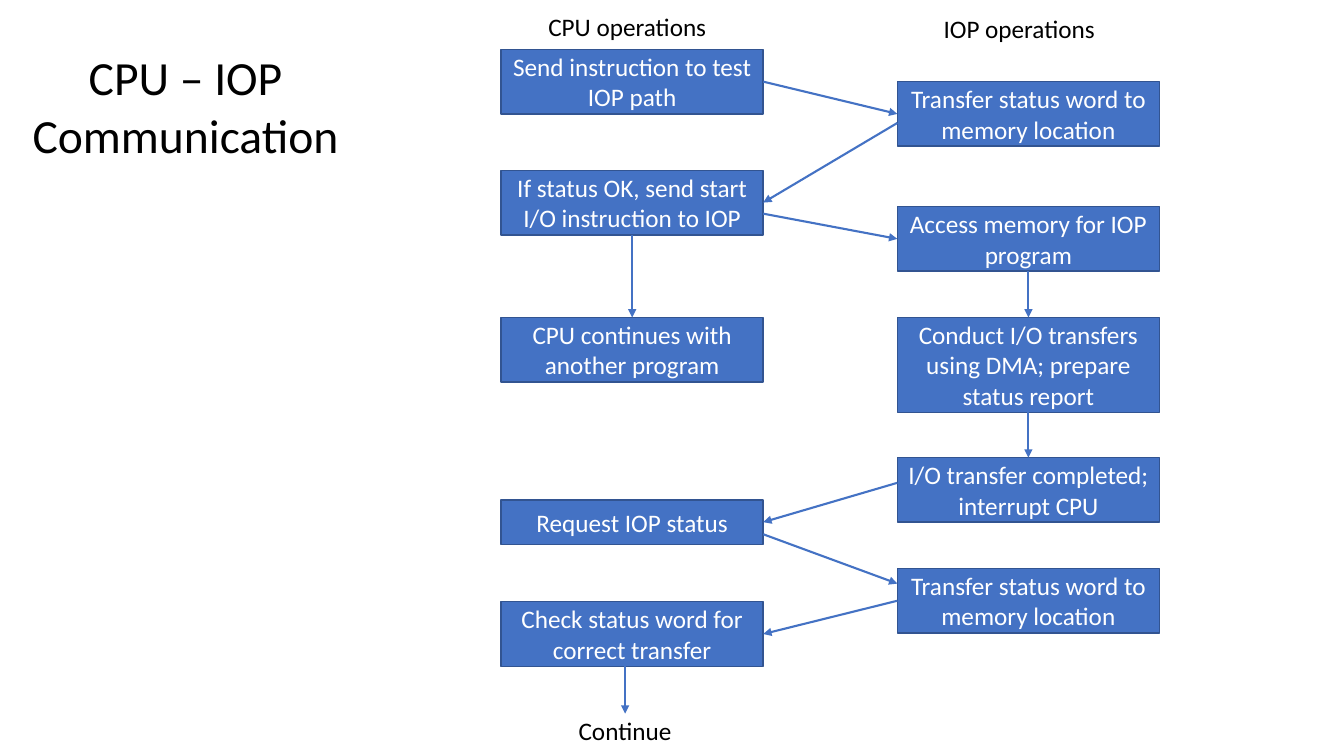
from lxml.etree import SubElement
from pptx import Presentation
from pptx.dml.color import RGBColor
from pptx.enum.shapes import MSO_CONNECTOR as Connector, MSO_SHAPE as Shape
from pptx.enum.text import MSO_ANCHOR as Anchor, PP_ALIGN as Align
from pptx.oxml.ns import qn
from pptx.util import Inches, Pt

COLORS = {"box": "4472C4", "border": "325491", "box_text": "FFFFFF", "text": "000000"}
FONT = "Calibri"
TOP, LEFT, BOTTOM, RIGHT = range(4)
CPU_X, IOP_X = 4.97, 8.9
BOX_W, BOX_H = 2.6, 0.64


class FlowSlide:
    def __init__(self, deck):
        self.slide = deck.slides.add_slide(deck.slide_layouts[5])

    def color(self, name):
        return RGBColor.from_string(COLORS[name])

    def set_text(self, frame, text, size, color, align, anchor):
        frame.word_wrap = True
        frame.vertical_anchor = anchor
        frame.text = text
        paragraph = frame.paragraphs[0]
        paragraph.alignment = align
        font = paragraph.runs[0].font
        font.name, font.size = FONT, Pt(size)
        font.color.rgb = self.color(color)

    def title(self, text, x, y, w, h):
        heading = self.slide.shapes.title
        heading.left, heading.top = Inches(x), Inches(y)
        heading.width, heading.height = Inches(w), Inches(h)
        self.set_text(heading.text_frame, text, 34, "text", Align.CENTER, Anchor.TOP)

    def label(self, text, x, y, w):
        caption = self.slide.shapes.add_textbox(Inches(x), Inches(y), Inches(w), Inches(0.4))
        self.set_text(caption.text_frame, text, 18, "text", Align.LEFT, Anchor.TOP)

    def step(self, text, x, y, h=BOX_H):
        box = self.slide.shapes.add_shape(
            Shape.RECTANGLE, Inches(x), Inches(y), Inches(BOX_W), Inches(h))
        box.shadow.inherit = False
        box.fill.solid()
        box.fill.fore_color.rgb = self.color("box")
        box.line.color.rgb = self.color("border")
        box.line.width = Pt(1)
        self.set_text(box.text_frame, text, 18, "box_text", Align.CENTER, Anchor.MIDDLE)
        return box

    def arrow(self, start, end):
        """Each end is an (x, y) point or a (box, side) pair."""
        link = self.slide.shapes.add_connector(Connector.STRAIGHT, 0, 0, 0, 0)
        if isinstance(start[0], float):
            link.begin_x, link.begin_y = Inches(start[0]), Inches(start[1])
        else:
            link.begin_connect(*start)
        if isinstance(end[0], float):
            link.end_x, link.end_y = Inches(end[0]), Inches(end[1])
        else:
            link.end_connect(*end)
        link.line.color.rgb = self.color("box")
        link.line.width = Pt(1.5)
        properties = link._element.spPr
        SubElement(properties.find(qn("a:ln")), qn("a:tailEnd"), type="triangle")
        SubElement(properties, qn("a:effectLst"))


def main():
    deck = Presentation()
    deck.slide_width, deck.slide_height = Inches(13.33), Inches(7.5)
    flow = FlowSlide(deck)

    # Title and column headings
    flow.title("CPU – IOP Communication", 0.19, 0.43, 3.3, 1.25)
    flow.label("CPU operations", 5.34, 0.06, 1.87)
    flow.label("IOP operations", 9.26, 0.08, 1.87)

    # CPU column
    test_path = flow.step("Send instruction to test IOP path", CPU_X, 0.49)
    start_io = flow.step("If status OK, send start I/O instruction to IOP", CPU_X, 1.69)
    other_program = flow.step("CPU continues with another program", CPU_X, 3.15)
    request = flow.step("Request IOP status", CPU_X, 4.96, 0.44)
    check = flow.step("Check status word for correct transfer", CPU_X, 5.97)

    # IOP column
    first_status = flow.step("Transfer status word to memory location", IOP_X, 0.81)
    access = flow.step("Access memory for IOP program", IOP_X, 2.05)
    conduct = flow.step(
        "Conduct I/O transfers using DMA; prepare status report", IOP_X, 3.15, 0.94)
    completed = flow.step("I/O transfer completed; interrupt CPU", IOP_X, 4.54)
    last_status = flow.step("Transfer status word to memory location", IOP_X, 5.64)

    # Flow between the columns
    cpu_edge = CPU_X + BOX_W
    flow.arrow((test_path, RIGHT), (first_status, LEFT))
    flow.arrow((IOP_X, 1.22), (start_io, RIGHT))
    flow.arrow((cpu_edge, 2.12), (access, LEFT))
    flow.arrow((IOP_X, 4.79), (request, RIGHT))
    flow.arrow((cpu_edge, 5.3), (IOP_X, 5.79))
    flow.arrow((last_status, LEFT), (check, RIGHT))

    # Flow down each column
    for upper, lower in ((start_io, other_program), (access, conduct), (conduct, completed)):
        flow.arrow((upper, BOTTOM), (lower, TOP))

    # Exit
    flow.arrow((6.2, 6.61), (6.2, 7.08))
    flow.label("Continue", 5.64, 7.05, 1.16)

    deck.save("out.pptx")


if __name__ == "__main__":
    main()
